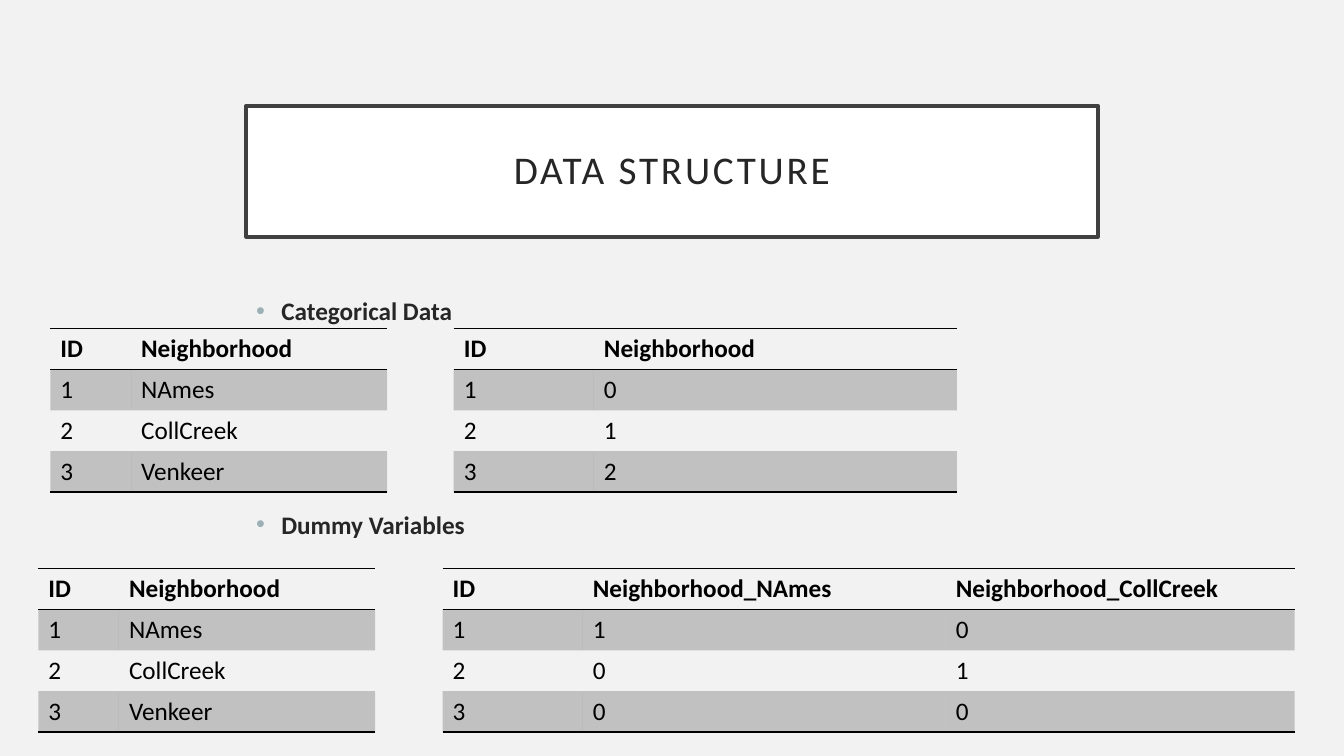
import pptx
import pptx.dml.color
import pptx.enum.text
import pptx.oxml
import pptx.oxml.ns
import pptx.util
from pptx.util import Inches, Pt

# Content
TITLE = "DATA STRUCTURE"
HEADINGS = ["Categorical Data", "Dummy Variables"]
NAMED = [("ID", "Neighborhood"), ("1", "NAmes"), ("2", "CollCreek"), ("3", "Venkeer")]
CODED = [("ID", "Neighborhood"), ("1", "0"), ("2", "1"), ("3", "2")]
DUMMIES = [
    ("ID", "Neighborhood_NAmes", "Neighborhood_CollCreek"),
    ("1", "1", "0"),
    ("2", "0", "1"),
    ("3", "0", "0"),
]
# Rows, left, top, column widths
TABLES = [
    (NAMED, 0.38, 5.64, (0.8, 2.54)),
    (DUMMIES, 4.39, 5.64, (1.39, 3.6, 3.46)),
    (NAMED, 0.5, 3.26, (0.8, 2.54)),
    (CODED, 4.5, 3.26, (1.39, 3.6)),
]

# Format
COLORS = {"background": "F2F2F2", "box": "FFFFFF", "frame": "404040",
          "text": "262626", "bullet": "9BAFB5", "table": "000000"}
TITLE_FONT = {"name": "Calibri", "size": Pt(28), "bold": False}
HEADING_FONT = {"name": "Calibri", "size": Pt(18), "bold": True}
CELL_FONT = {"name": "Calibri", "size": Pt(18)}
TABLE_HEIGHT = 1.62
HEADING_GAP = Pt(131)
PLAIN_TABLE_STYLE = "{2D5ABB26-0587-4C30-8999-92F81FD0307C}"
NAMESPACE = pptx.oxml.ns.nsdecls("a")


def color(name):
    return pptx.dml.color.RGBColor.from_string(COLORS[name])


def set_values(target, values):
    for name, value in values.items():
        setattr(target, name, value)


def format_font(font, values, color_name):
    set_values(font, values)
    font.color.rgb = color(color_name)


def color_xml(color_name, inner=""):
    return f'<a:srgbClr {NAMESPACE} val="{COLORS[color_name]}">{inner}</a:srgbClr>'


def place(shape, left, top, width, height):
    set_values(shape, {"left": Inches(left), "top": Inches(top),
                       "width": Inches(width), "height": Inches(height)})


def add_border(cell, side):
    cell._tc.get_or_add_tcPr().append(pptx.oxml.parse_xml(
        f'<a:ln{side} {NAMESPACE} w="{Pt(1)}"><a:solidFill>'
        f'{color_xml("table")}</a:solidFill></a:ln{side}>'))


def add_title(slide):
    title = slide.shapes.title
    place(title, 2.44, 1.05, 8.45, 1.3)
    title.fill.solid()
    title.fill.fore_color.rgb = color("box")
    title.line.color.rgb = color("frame")
    title.line.width = Pt(2.5)
    frame = title.text_frame
    frame.text = TITLE
    sides = ("left", "top", "right", "bottom")
    set_values(frame, {f"margin_{side}": Inches(0.2) for side in sides})
    set_values(frame, {"vertical_anchor": pptx.enum.text.MSO_ANCHOR.MIDDLE,
                       "auto_size": pptx.enum.text.MSO_AUTO_SIZE.NONE})
    paragraph = frame.paragraphs[0]
    set_values(paragraph, {"alignment": pptx.enum.text.PP_ALIGN.CENTER,
                           "line_spacing": 0.9})
    run = paragraph.runs[0]
    format_font(run.font, TITLE_FONT, "text")
    run.font._element.set("spc", "200")


def add_headings(slide):
    body = slide.placeholders[1]
    place(body, 2.44, 2.88, 8.45, 3.39)
    frame = body.text_frame
    frame.text = "\n".join(HEADINGS)
    frame.auto_size = pptx.enum.text.MSO_AUTO_SIZE.NONE
    for index, paragraph in enumerate(frame.paragraphs):
        paragraph.space_before = HEADING_GAP if index else Pt(0)
        format_font(paragraph.runs[0].font, HEADING_FONT, "text")
        properties = paragraph._p.get_or_add_pPr()
        properties.set("marL", str(Inches(0.25)))
        properties.set("indent", str(-Inches(0.25)))
        for bullet_part in (f'<a:buClr {NAMESPACE}>{color_xml("bullet")}</a:buClr>',
                            f'<a:buFont {NAMESPACE} typeface="Arial"/>',
                            f'<a:buChar {NAMESPACE} char="•"/>'):
            properties.append(pptx.oxml.parse_xml(bullet_part))


def format_cell(cell, text, row, last_row):
    cell.text = text
    font = cell.text_frame.paragraphs[0].runs[0].font
    format_font(font, CELL_FONT, "table")
    font.bold = row == 0
    if row == 0:
        add_border(cell, "T")
    if row in (0, last_row):
        add_border(cell, "B")
    # Odd rows carry a see-through band
    if row % 2:
        cell.fill.solid()
        cell.fill.fore_color.rgb = color("table")
        band = cell._tc.tcPr.find(".//" + pptx.oxml.ns.qn("a:solidFill") + "[last()]")
        band = cell._tc.tcPr.findall(pptx.oxml.ns.qn("a:solidFill"))[0]
        band[0].append(pptx.oxml.parse_xml(f'<a:alpha {NAMESPACE} val="20000"/>'))
    else:
        cell.fill.background()


def add_data_table(slide, rows, left, top, widths):
    table = slide.shapes.add_table(
        len(rows), len(widths), Inches(left), Inches(top),
        Inches(sum(widths)), Inches(TABLE_HEIGHT)).table
    style = table._tbl.tblPr.find(pptx.oxml.ns.qn("a:tableStyleId"))
    style.text = PLAIN_TABLE_STYLE
    set_values(table, {"first_row": True, "horz_banding": False})
    for column, width in zip(table.columns, widths):
        column.width = Inches(width)
    for row, texts in enumerate(rows):
        table.rows[row].height = Inches(TABLE_HEIGHT / len(rows))
        for column, text in enumerate(texts):
            format_cell(table.cell(row, column), text, row, len(rows) - 1)


def main():
    presentation = pptx.Presentation()
    set_values(presentation, {"slide_width": Inches(13.33), "slide_height": Inches(7.5)})
    slide = presentation.slides.add_slide(presentation.slide_layouts[1])
    slide.background.fill.solid()
    slide.background.fill.fore_color.rgb = color("background")
    add_title(slide)
    add_headings(slide)
    for rows, left, top, widths in TABLES:
        add_data_table(slide, rows, left, top, widths)
    presentation.save("out.pptx")


if __name__ == "__main__":
    main()
